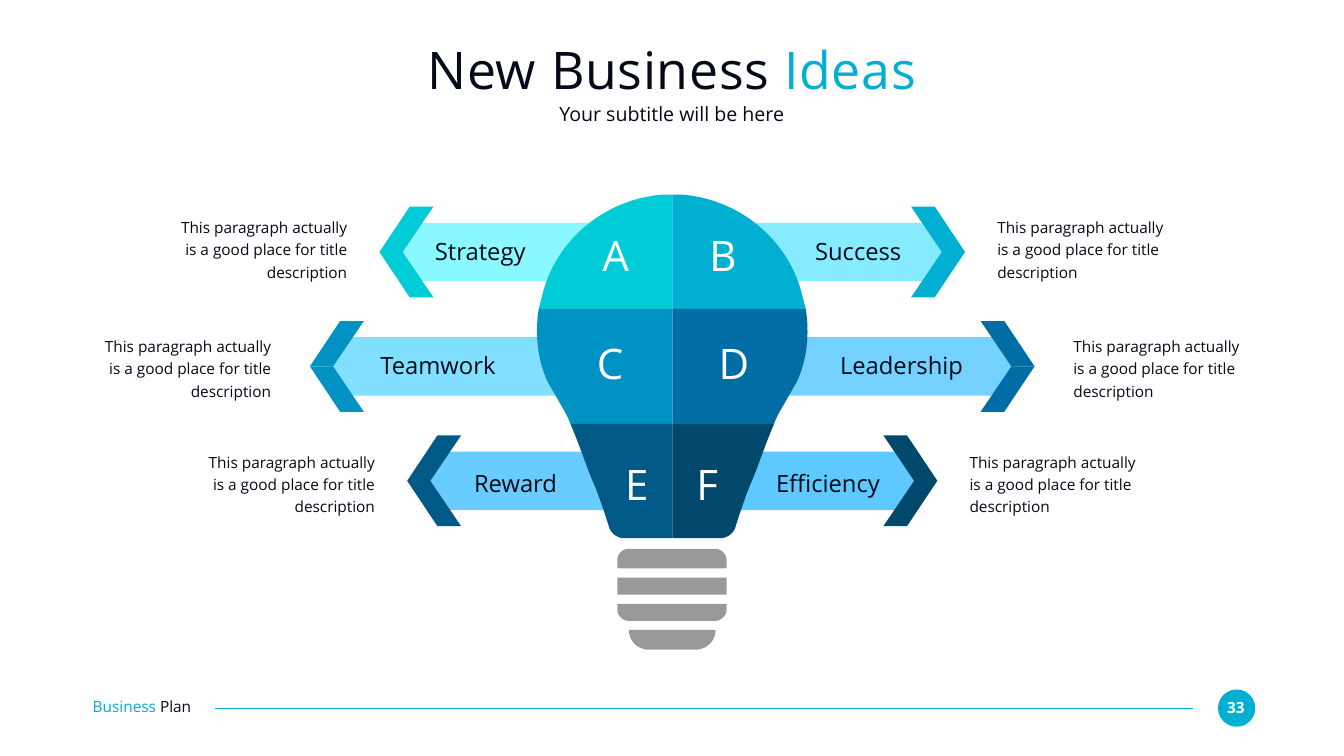
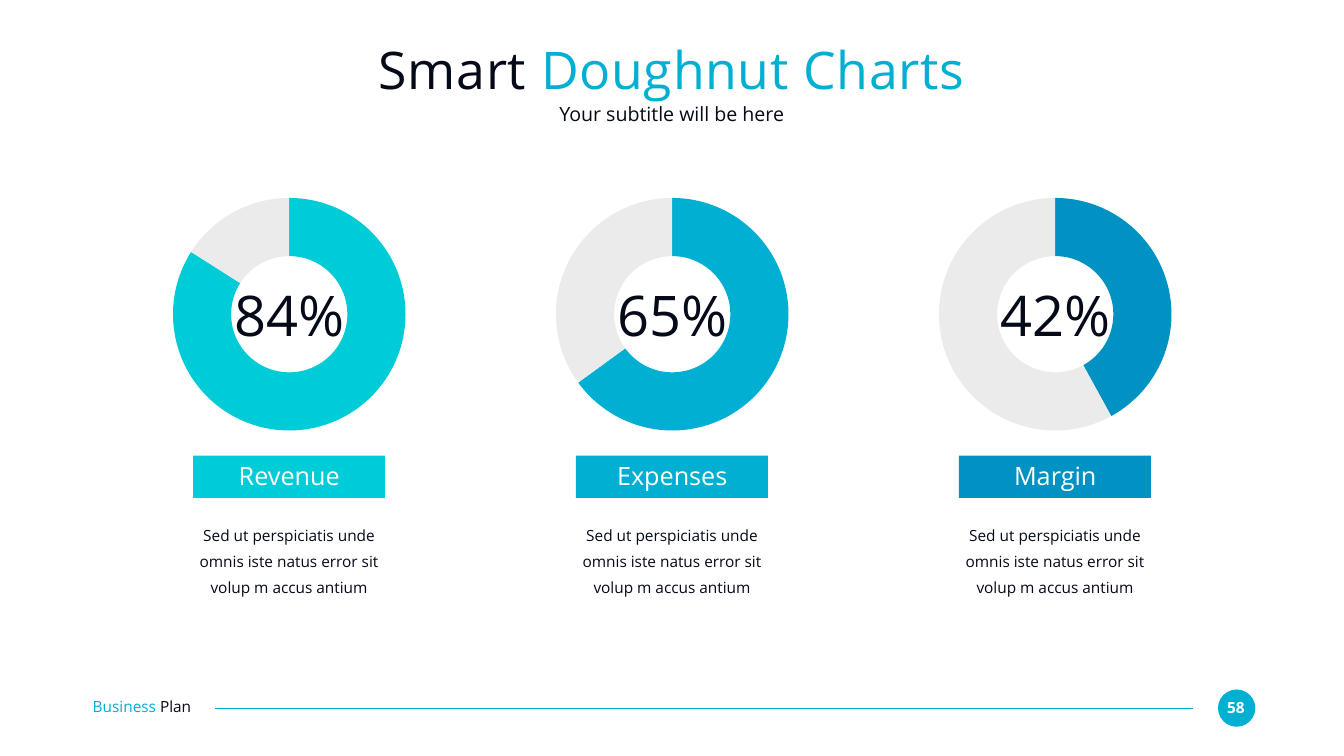
from lxml import etree
from pptx import Presentation
from pptx.chart.data import CategoryChartData
from pptx.dml.color import RGBColor
from pptx.enum import chart as charts, shapes, text
from pptx.oxml.ns import qn
from pptx.util import Inches, Pt

AXIS = 13.34
FONT = "Open Sans"
INK, WHITE, GREY, PALE = "050A19", "FFFFFF", "999999", "EBEBEB"
AQUA, CYAN, BLUE, DEEP = "00CCD7", "00AFD2", "0092C3", "006DA4"
TEAL, NAVY = "005986", "00486C"
LEFT, CENTER, RIGHT = text.PP_ALIGN.LEFT, text.PP_ALIGN.CENTER, text.PP_ALIGN.RIGHT


def color(value):
    return RGBColor.from_string(value)


def curve(start, bends, steps=16):
    a, b, c, d = start, bends[:2], bends[2:4], bends[4:]
    for step in range(1, steps + 1):
        t = step / steps
        s = 1 - t
        yield tuple(
            s**3 * a[k] + 3 * s * s * t * b[k] + 3 * s * t * t * c[k] + t**3 * d[k]
            for k in (0, 1)
        )


def flatten(contour):
    points = []
    for part in contour:
        points.extend([part] if len(part) == 2 else curve(points[-1], part))
    return points


class Slides:
    def __init__(self):
        self.deck = Presentation()
        self.deck.slide_width, self.deck.slide_height = Inches(26.67), Inches(15)
        self.page = None

    def start(self, title, accent, number):
        self.page = self.deck.slides.add_slide(self.deck.slide_layouts[6])
        self.shape(shapes.MSO_SHAPE.OVAL, 24.17, 13.68, 0.74, 0.74, CYAN)
        self.text(24.23, 13.85, 0.59, 0.37, [(number, WHITE)], 22, CENTER, bold=True)
        self.line(23.67, 14.05, 4.27, 14.05)
        self.text(1.84, 13.84, 2.59, 0.37, [("Business ", CYAN), ("Plan", INK)], 22)
        heading = self.text(1.83, 0.73, 23, 1.27, [(title, INK), (accent, CYAN)], 74, CENTER, grow=False)
        heading.text_frame.vertical_anchor = text.MSO_ANCHOR.MIDDLE
        for span in heading.text_frame.paragraphs[0].runs:
            span.font._element.set("spc", "100")
        self.text(1.83, 2.03, 23, 0.49, [("Your subtitle will be here", INK)], 28, CENTER, grow=False)

    def text(self, x, y, width, height, spans, size, align=LEFT, bold=False, grow=True, spacing=None, after=None):
        box = self.page.shapes.add_textbox(Inches(x), Inches(y), Inches(width), Inches(height))
        frame = box.text_frame
        frame.word_wrap = True
        frame.auto_size = text.MSO_AUTO_SIZE.SHAPE_TO_FIT_TEXT if grow else text.MSO_AUTO_SIZE.NONE
        frame.margin_left = frame.margin_right = frame.margin_top = frame.margin_bottom = 0
        para = frame.paragraphs[0]
        para.alignment = align
        para.line_spacing = spacing
        if after:
            para.space_after = Pt(after)
        for words, fill in spans:
            span = para.add_run()
            span.text = words
            span.font.name, span.font.size, span.font.bold = FONT, Pt(size), bold
            span.font.color.rgb = color(fill)
        return box

    def paint(self, shape, fill):
        shape.shadow.inherit = False
        shape.fill.solid()
        shape.fill.fore_color.rgb = color(fill)
        shape.line.fill.background()

    def shape(self, kind, x, y, width, height, fill):
        self.paint(self.page.shapes.add_shape(kind, Inches(x), Inches(y), Inches(width), Inches(height)), fill)

    def line(self, x1, y1, x2, y2):
        rule = self.page.shapes.add_connector(
            shapes.MSO_CONNECTOR.STRAIGHT, Inches(x1), Inches(y1), Inches(x2), Inches(y2))
        rule.line.color.rgb = color(CYAN)
        rule.line.width = Pt(1.5)
        etree.SubElement(rule._element.spPr, qn("a:effectLst"))

    def outline(self, contours, fill, side=1):
        builder = None
        for contour in contours:
            points = [(Inches(AXIS + side * x), Inches(y)) for x, y in flatten(contour)]
            if builder is None:
                builder = self.page.shapes.build_freeform(*points[0])
            else:
                builder.move_to(*points[0])
            builder.add_line_segments(points[1:], close=True)
        self.paint(builder.convert_to_shape(), fill)

    def doughnut(self, center, y, width, height, share, fill):
        data = CategoryChartData()
        data.categories = ["1", "2"]
        data.add_series("Series 1", (share, 100 - share))
        chart = self.page.shapes.add_chart(
            charts.XL_CHART_TYPE.DOUGHNUT, Inches(center - width / 2), Inches(y),
            Inches(width), Inches(height), data).chart
        chart.has_legend = chart.has_title = False
        chart.font.name, chart.font.size = "Calibri", Pt(10)
        chart.font.color.rgb = color(GREY)
        plot = chart.plots[0]
        plot.vary_by_categories = True
        plot._element.find(qn("c:holeSize")).set("val", "88")
        for index, shade in enumerate((fill, PALE)):
            point = plot.series[0].points[index].format
            point.fill.solid()
            point.fill.fore_color.rgb = color(shade)
            point.line.fill.background()


BULB_HALF = [
    [(0, 3.86), (0.19, 3.86), (1.35, 3.95, 2.34, 4.78, 2.59, 5.9),
     (2.61, 5.98, 2.63, 6.06, 2.65, 6.13), (0, 6.13)],
    [(0, 6.13), (2.65, 6.13), (2.73, 6.65, 2.67, 7.15, 2.47, 7.58), (2.16, 8.12),
     (2.11, 8.2, 2.06, 8.3, 2.02, 8.41), (0, 8.41)],
    [(0, 8.41), (2.02, 8.41), (1.84, 8.83, 1.65, 9.4, 1.56, 9.59),
     (1.48, 9.77, 1.34, 10.18, 1.25, 10.47), (1.21, 10.59, 1.08, 10.68, 0.95, 10.68), (0, 10.68)],
]

BULB_BASE = [
    [(-0.86, 12.5), (0.86, 12.5), (0.86, 12.72, 0.68, 12.89, 0.46, 12.89),
     (-0.46, 12.89), (-0.68, 12.89, -0.86, 12.72, -0.86, 12.5)],
    [(-1.09, 11.98), (1.08, 11.98), (1.08, 12.09), (1.08, 12.21, 0.97, 12.32, 0.85, 12.32),
     (-0.86, 12.32), (-0.99, 12.32, -1.09, 12.21, -1.09, 12.09)],
    [(-1.09, 11.46), (1.08, 11.46), (1.08, 11.8), (-1.09, 11.8)],
    [(-0.86, 10.89), (0.85, 10.89), (0.97, 10.89, 1.08, 10.99, 1.08, 11.12), (1.08, 11.28),
     (-1.09, 11.28), (-1.09, 11.12), (-1.09, 10.99, -0.99, 10.89, -0.86, 10.89)],
]

# Each row: centre y, arrow tip, ribbon start, note gap, note y, letter y, label y, label width
ROWS = [
    (5, 5.81, 0.63, 0.64, 4.26, 4.55, 4.7, 2.68),
    (7.27, 7.19, 0.63, 0.77, 6.62, 6.69, 6.95, 3.7),
    (9.54, 5.26, 0.08, 0.64, 8.91, 9.09, 9.3, 2.68),
]
IDEAS = [
    [(-1, "A", 12.22, "Strategy", 9.53, AQUA, "89F9FF"), (1, "B", 14.35, "Success", 17.03, CYAN, "87EBFF")],
    [(-1, "C", 12.11, "Teamwork", 8.69, BLUE, "81DFFF"), (1, "D", 14.57, "Leadership", 17.89, DEEP, "75D1FF")],
    [(-1, "E", 12.64, "Reward", 10.23, TEAL, "69CCFF"), (1, "F", 14.04, "Efficiency", 16.43, NAVY, "5EC9FF")],
]
NOTE = "This paragraph actually is a good place for title description"
BODY = "Sed ut perspiciatis unde omnis iste natus error sit volup m accus antium"
METRICS = [("Revenue", 84, AQUA), ("Expenses", 65, CYAN), ("Margin", 42, BLUE)]


def draw_ideas(slides):
    slides.start("New Business ", "Ideas", "33")
    cells = [(row, half, idea) for row, half, pair in zip(ROWS, BULB_HALF, IDEAS) for idea in pair]
    for (y, tip, start, *_), _, (side, *_, fill, pale) in cells:
        top, bottom, shoulder = y - 0.58, y + 0.58, tip - 0.75
        ribbon = [(shoulder, bottom), (start, bottom), (start, top), (shoulder, top), (tip - 0.4, y)]
        slides.outline([ribbon], pale, side)
        for end in (y - 0.9, y + 0.9):
            wing = [(tip, y), (tip - 0.46, y), (tip - 1.07, end), (tip - 0.6, end)]
            slides.outline([wing], fill, side)
    for _, half, (side, *_, fill, _) in cells:
        slides.outline([half], fill, side)
    slides.outline(BULB_BASE, GREY)
    for (_, tip, _, gap, note_y, letter_y, label_y, width), _, idea in cells:
        side, letter, letter_x, label, label_x, *_ = idea
        note_x = AXIS + tip + gap if side > 0 else AXIS - tip - gap - 3.54
        slides.text(note_x, note_y, 3.54, 1.33, [(NOTE, INK)], 22, LEFT if side > 0 else RIGHT, spacing=1.2)
        slides.text(letter_x - 0.54, letter_y, 1.07, 1.01, [(letter, WHITE)], 60, CENTER)
        slides.text(label_x - width / 2, label_y, width, 0.57, [(label, INK)], 34, CENTER)


def draw_doughnuts(slides):
    slides.start("Smart ", "Doughnut Charts", "58")
    for column, (name, share, fill) in enumerate(METRICS):
        center = AXIS + (column - 1) * 7.6
        slides.doughnut(center, 3.62, 4.89, 5.23, share, fill)
        slides.shape(shapes.MSO_SHAPE.RECTANGLE, center - 1.91, 9.04, 3.81, 0.84, fill)
        slides.text(center - 1.55, 9.13, 3.1, 0.61, [(name, WHITE)], 36, CENTER)
        slides.text(center - 2.16, 10.29, 4.31, 1.56, [(BODY, INK)], 22, CENTER, spacing=1.4, after=36)
        slides.text(center - 1.19, 5.56, 2.38, 1.35, [(f"{share}%", INK)], 80, CENTER)


def main():
    slides = Slides()
    draw_ideas(slides)
    draw_doughnuts(slides)
    slides.deck.save("out.pptx")


if __name__ == "__main__":
    main()
